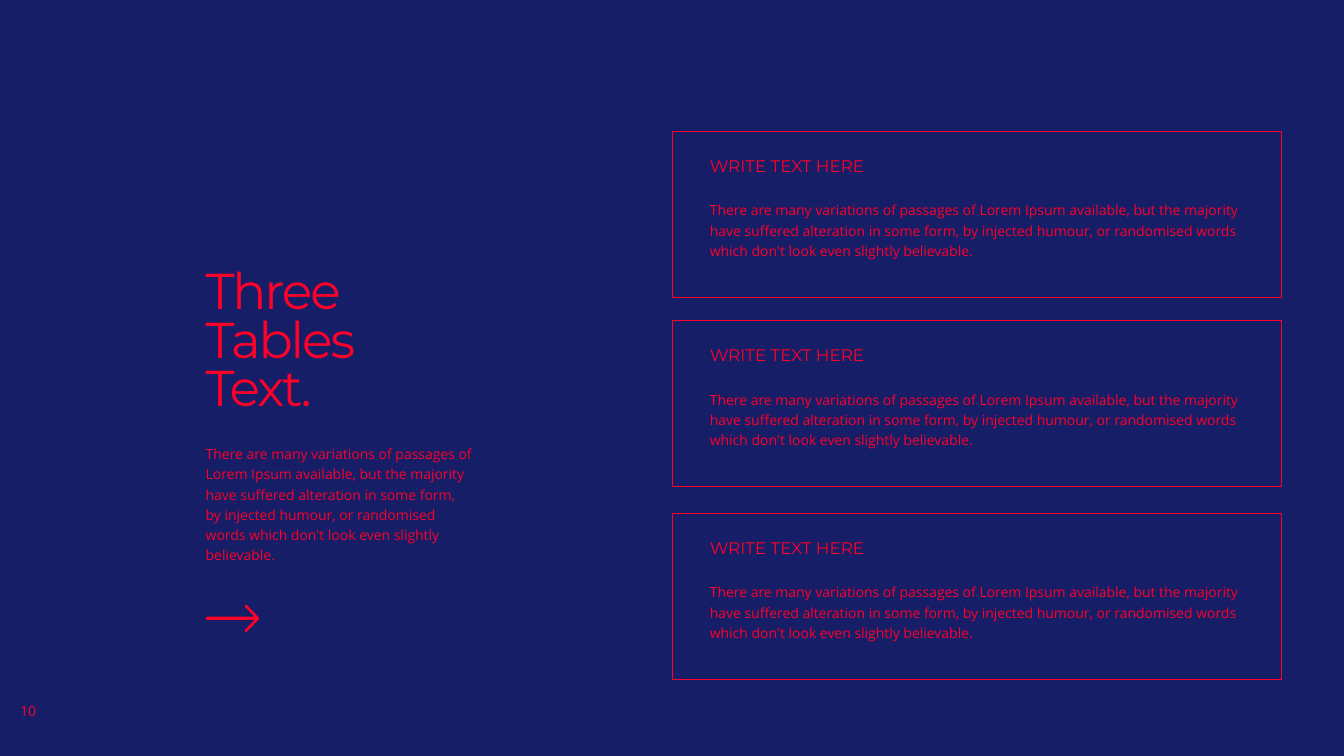
from pptx import Presentation
from pptx import util as u
from pptx.dml.color import RGBColor
from pptx.enum import shapes, text

COLORS = {"navy": "151E67", "red": "FF0028"}
BODY = ("There are many variations of passages of Lorem Ipsum available, but the majority "
        "have suffered alteration in some form, by injected humour, or randomised words "
        "which don't look even slightly believable.")
STYLES = {
    "title": {"font": {"name": "Montserrat", "size": u.Pt(36)}, "line_spacing": 0.8},
    "heading": {"font": {"name": "Montserrat", "size": u.Pt(12)}, "line_spacing": 0.7},
    "body": {"font": {"name": "Open Sans", "size": u.Pt(10)}, "line_spacing": 1.2},
    "number": {"font": {"name": "Open Sans", "size": u.Pt(10)}, "line_spacing": 1.0},
}
ARROW_HALF = [(530, 130), (526, 124), (412, 6), (402, 0), (392, 4), (388, 14), (392, 22),
              (484, 119), (14, 119), (4, 124), (0, 135)]
ARROW_HEIGHT = 270


def rgb(name):
    """Return the named colour."""
    return RGBColor.from_string(COLORS[name])


def add_text(s, box, words, style, inset_top=0.05, inset_bottom=0.05, spc=None):
    """Place one styled paragraph in a box of left, top, width and height."""
    sp = s.shapes.add_textbox(*map(u.Inches, box))
    tf = sp.text_frame
    frame = {"word_wrap": True, "margin_left": 0, "margin_right": 0,
             "margin_top": u.Inches(inset_top), "margin_bottom": u.Inches(inset_bottom)}
    for key, value in frame.items():
        setattr(tf, key, value)
    p = tf.paragraphs[0]
    p.text = words
    p.line_spacing = STYLES[style]["line_spacing"]
    for r in p.runs:
        for key, value in STYLES[style]["font"].items():
            setattr(r.font, key, value)
        r.font.color.rgb = rgb("red")
        if spc is not None:
            r.font._element.set("spc", str(spc))
    return tf


def add_arrow(s, left, top):
    """Draw the right arrow, its lower half mirrored from the upper."""
    mirrored = [(x, ARROW_HEIGHT - y) for x, y in reversed(ARROW_HALF)]
    points = ARROW_HALF + mirrored
    builder = s.shapes.build_freeform(*points[0], scale=u.Inches(1) / 1000)
    builder.add_line_segments(points[1:], close=True)
    sp = builder.convert_to_shape(u.Inches(left), u.Inches(top))
    sp.shadow.inherit = False
    sp.fill.solid()
    sp.fill.fore_color.rgb = rgb("red")
    sp.line.fill.background()


def add_intro(s, left, top):
    """Place the title, its paragraph and the arrow."""
    add_text(s, (left, top, 4.62, 1.77), "Three\vTables\vText.", "title",
             inset_top=0.21, inset_bottom=0, spc=-150)
    add_text(s, (left, top + 1.86, 2.64, 1.31), BODY, "body")
    add_arrow(s, left, top + 3.52)


def add_card(s, left, top):
    """Place an outlined card with a heading and a paragraph."""
    sp = s.shapes.add_shape(shapes.MSO_SHAPE.RECTANGLE,
                            *map(u.Inches, (left, top, 6.04, 1.65)))
    sp.shadow.inherit = False
    sp.fill.background()
    sp.line.color.rgb = rgb("red")
    sp.line.width = u.Pt(0.5)
    add_text(s, (left + 0.37, top + 0.25, 4.15, 0.24), "WRITE TEXT HERE", "heading")
    add_text(s, (left + 0.37, top + 0.62, 5.25, 0.71), BODY, "body")


def add_page_number(s, left, top):
    """Place the centred page number."""
    tf = add_text(s, (left, top, 0.56, 0.25), "10", "number")
    tf.vertical_anchor = text.MSO_ANCHOR.MIDDLE
    tf.paragraphs[0].alignment = text.PP_ALIGN.CENTER


def main():
    """Build and save the slide."""
    prs = Presentation()
    prs.slide_width, prs.slide_height = u.Inches(13.33), u.Inches(7.5)
    s = prs.slides.add_slide(prs.slide_layouts[6])
    s.background.fill.solid()
    s.background.fill.fore_color.rgb = rgb("navy")
    add_intro(s, 2.04, 2.48)
    add_page_number(s, 0, 6.93)
    for top in (1.3, 3.18, 5.09):
        add_card(s, 6.67, top)
    prs.save("out.pptx")


if __name__ == "__main__":
    main()
